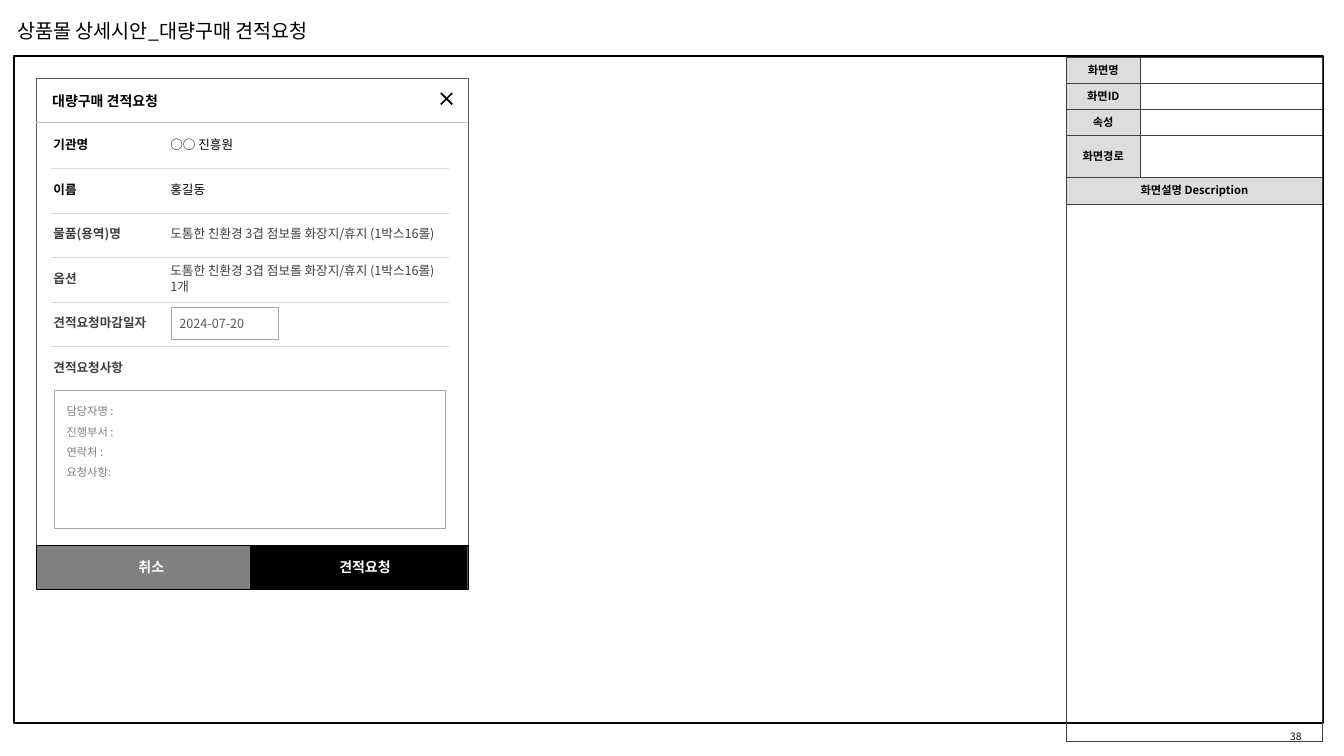
from lxml import etree
from pptx import Presentation
from pptx.dml.color import RGBColor
from pptx.enum import shapes, text
from pptx.oxml import ns
from pptx.util import Pt

BLACK = RGBColor(0x00, 0x00, 0x00)
WHITE = RGBColor(0xFF, 0xFF, 0xFF)
CHARCOAL = RGBColor(0x40, 0x40, 0x40)
DARK_GRAY = RGBColor(0x59, 0x59, 0x59)
GRAY = RGBColor(0x80, 0x80, 0x80)
FIELD_GRAY = RGBColor(0xA6, 0xA6, 0xA6)
HEADER_RULE = RGBColor(0xBF, 0xBF, 0xBF)
ROW_RULE = RGBColor(0xD9, 0xD9, 0xD9)
LABEL_FILL = RGBColor(0xDD, 0xDD, 0xDD)

LEFT, CENTER = text.PP_ALIGN.LEFT, text.PP_ALIGN.CENTER
TOP, MIDDLE = text.MSO_ANCHOR.TOP, text.MSO_ANCHOR.MIDDLE
PLAIN_INSETS = (7.2, 3.6, 7.2, 3.6)
FIELD_INSETS = (8.64, 3.6, 0, 3.6)

ROW_PITCH = 31.8
PRODUCT = "도톰한 친환경 3겹 점보롤 화장지/휴지 (1박스16롤)"
FORM_ROWS = [
    ("기관명", "○○ 진흥원", BLACK),
    ("이름", "홍길동", BLACK),
    ("물품(용역)명", PRODUCT, CHARCOAL),
    ("옵션", PRODUCT + "\n1개", CHARCOAL),
    ("견적요청마감일자", None, CHARCOAL),
    ("견적요청사항", None, CHARCOAL),
]
SPEC_ROWS = [
    ("화면명", 18.6),
    ("화면ID", 18.6),
    ("속성", 18.6),
    ("화면경로", 30),
    ("화면설명 Description", 19.4),
    ("", 383.3),
]


class Wireframe:
    font_name = "Noto Sans CJK KR"

    def __init__(self, slide):
        self.slide = slide

    def set_text(self, frame, content, size, color=BLACK, bold=False, align=LEFT,
                 spacing=1.0):
        """Fill a text frame, one paragraph for each line of content."""
        frame.text = content
        for paragraph in frame.paragraphs:
            paragraph.alignment = align
            paragraph.line_spacing = spacing
            paragraph.space_before = Pt(0)
            for run in paragraph.runs:
                formats = {"name": self.font_name, "size": Pt(size), "bold": bold}
                for name, value in formats.items():
                    setattr(run.font, name, value)
                run.font.color.rgb = color
                east_asian = etree.SubElement(run.font._element, ns.qn("a:ea"))
                east_asian.set("typeface", self.font_name)

    def set_frame(self, frame, insets, anchor):
        formats = dict(zip(("margin_left", "margin_top", "margin_right", "margin_bottom"),
                           map(Pt, insets)))
        formats.update(word_wrap=True, vertical_anchor=anchor,
                       auto_size=text.MSO_AUTO_SIZE.NONE)
        for name, value in formats.items():
            setattr(frame, name, value)

    def title(self, box, content, size):
        title = self.slide.shapes.title
        for name, value in zip(("left", "top", "width", "height"), box):
            setattr(title, name, Pt(value))
        self.set_frame(title.text_frame, PLAIN_INSETS, TOP)
        self.set_text(title.text_frame, content, size)

    def label(self, box, content, size, insets=FIELD_INSETS, anchor=MIDDLE, **style):
        shape = self.slide.shapes.add_textbox(*map(Pt, box))
        self.set_frame(shape.text_frame, insets, anchor)
        self.set_text(shape.text_frame, content, size, **style)

    def box(self, box, fill=None, line=None, width=0.25, content="", size=9,
            insets=FIELD_INSETS, anchor=MIDDLE, kind=shapes.MSO_SHAPE.RECTANGLE, **style):
        shape = self.slide.shapes.add_shape(kind, *map(Pt, box))
        shape.shadow.inherit = False
        if fill is None:
            shape.fill.background()
        else:
            shape.fill.solid()
            shape.fill.fore_color.rgb = fill
        if line is None:
            shape.line.fill.background()
        else:
            shape.line.color.rgb = line
            shape.line.width = Pt(width)
        if content:
            self.set_frame(shape.text_frame, insets, anchor)
            self.set_text(shape.text_frame, content, size, **style)
        return shape

    def rule(self, left, right, top, color):
        line = self.slide.shapes.add_connector(
            shapes.MSO_CONNECTOR.STRAIGHT, Pt(left), Pt(top), Pt(right), Pt(top))
        line.line.color.rgb = color
        line.line.width = Pt(0.5)
        etree.SubElement(line._element.spPr, ns.qn("a:effectLst"))

    def cell(self, cell, content):
        for side in ("left", "top", "right", "bottom"):
            setattr(cell, "margin_" + side, Pt(2.88))
        cell.vertical_anchor = MIDDLE
        self.set_text(cell.text_frame, content, 8, bold=True, align=CENTER, spacing=0.8)
        if content:
            cell.fill.solid()
            cell.fill.fore_color.rgb = LABEL_FILL
        else:
            cell.fill.background()
            # The height of an empty cell follows its end-of-paragraph size.
            end = etree.SubElement(cell.text_frame.paragraphs[0]._p, ns.qn("a:endParaRPr"))
            end.set("sz", "800")
        properties = cell._tc.get_or_add_tcPr()
        for index, side in enumerate("LRTB"):
            border = etree.Element(ns.qn("a:ln" + side), w=str(Pt(0.5)))
            fill = etree.SubElement(border, ns.qn("a:solidFill"))
            etree.SubElement(fill, ns.qn("a:srgbClr"), val=str(CHARCOAL))
            properties.insert(index, border)

    def spec_table(self, left, top, widths, rows, merged_from):
        """Add label and blank columns; rows from merged_from span both."""
        table = self.slide.shapes.add_table(
            len(rows), len(widths), Pt(left), Pt(top), Pt(sum(widths)),
            Pt(sum(height for _, height in rows))).table
        table.first_row = table.horz_banding = False
        for column, width in zip(table.columns, widths):
            column.width = Pt(width)
        for index, (name, height) in enumerate(rows):
            table.rows[index].height = Pt(height)
            self.cell(table.cell(index, 0), name)
            self.cell(table.cell(index, 1), "")
            if index >= merged_from:
                table.cell(index, 0).merge(table.cell(index, 1))


def draw_page(page):
    page.box((10, 40.3, 935.3, 476), line=BLACK, width=1.3)
    page.spec_table(761.8, 41, (52.5, 130.4), SPEC_ROWS, merged_from=4)
    page.label((900.7, 512, 49.7, 28), "38", 7.3, insets=(5.76, 2.88, 5.76, 2.88),
               align=CENTER)
    page.title((5, 10, 260, 24.5), "상품몰 상세시안_대량구매 견적요청", 14)


def draw_dialog(page):
    page.box((26, 55.5, 308.2, 334.8), fill=WHITE, line=DARK_GRAY)
    close = page.box((313.2, 64.8, 11.5, 11.5), fill=BLACK, kind=shapes.MSO_SHAPE.CROSS)
    close.adjustments[0] = 0.446
    close.rotation = 45
    buttons = [("취소", 26, GRAY), ("견적요청", 178.6, BLACK)]
    for name, left, fill in buttons:
        page.box((left, 389.6, 155.5, 31), fill=fill, line=BLACK, content=name,
                 size=10, color=WHITE, bold=True, align=CENTER)
    page.label((30.2, 62.6, 110, 19.4), "대량구매 견적요청", 10, insets=PLAIN_INSETS,
               anchor=TOP, bold=True)
    page.rule(25.4, 333.6, 87.3, HEADER_RULE)

    for index, (name, value, color) in enumerate(FORM_ROWS):
        top = 89.5 + index * ROW_PITCH
        page.label((29.5, top, 93, 28), name, 9, color=color, bold=True)
        if value:
            page.label((113, top, 220.5, 28), value, 9, color=color)
        if index < len(FORM_ROWS) - 1:
            page.rule(36.7, 320.4, 120.3 + index * ROW_PITCH, ROW_RULE)

    page.box((122.4, 219.8, 76.5, 22.4), fill=WHITE, line=FIELD_GRAY,
             content="2024-07-20", insets=(5.76, 3.6, 0, 3.6), color=DARK_GRAY)
    page.box((38.9, 278.6, 279.4, 98.8), fill=WHITE, line=FIELD_GRAY,
             content="담당자명 :\n진행부서 :\n연락처 :\n요청사항:", size=8,
             insets=(8.64, 5.76, 0, 3.6), anchor=TOP, color=GRAY, spacing=1.5)


def main():
    presentation = Presentation()
    presentation.slide_width, presentation.slide_height = Pt(960), Pt(540)
    page = Wireframe(presentation.slides.add_slide(presentation.slide_layouts[5]))
    draw_page(page)
    draw_dialog(page)
    presentation.save("out.pptx")


if __name__ == "__main__":
    main()
